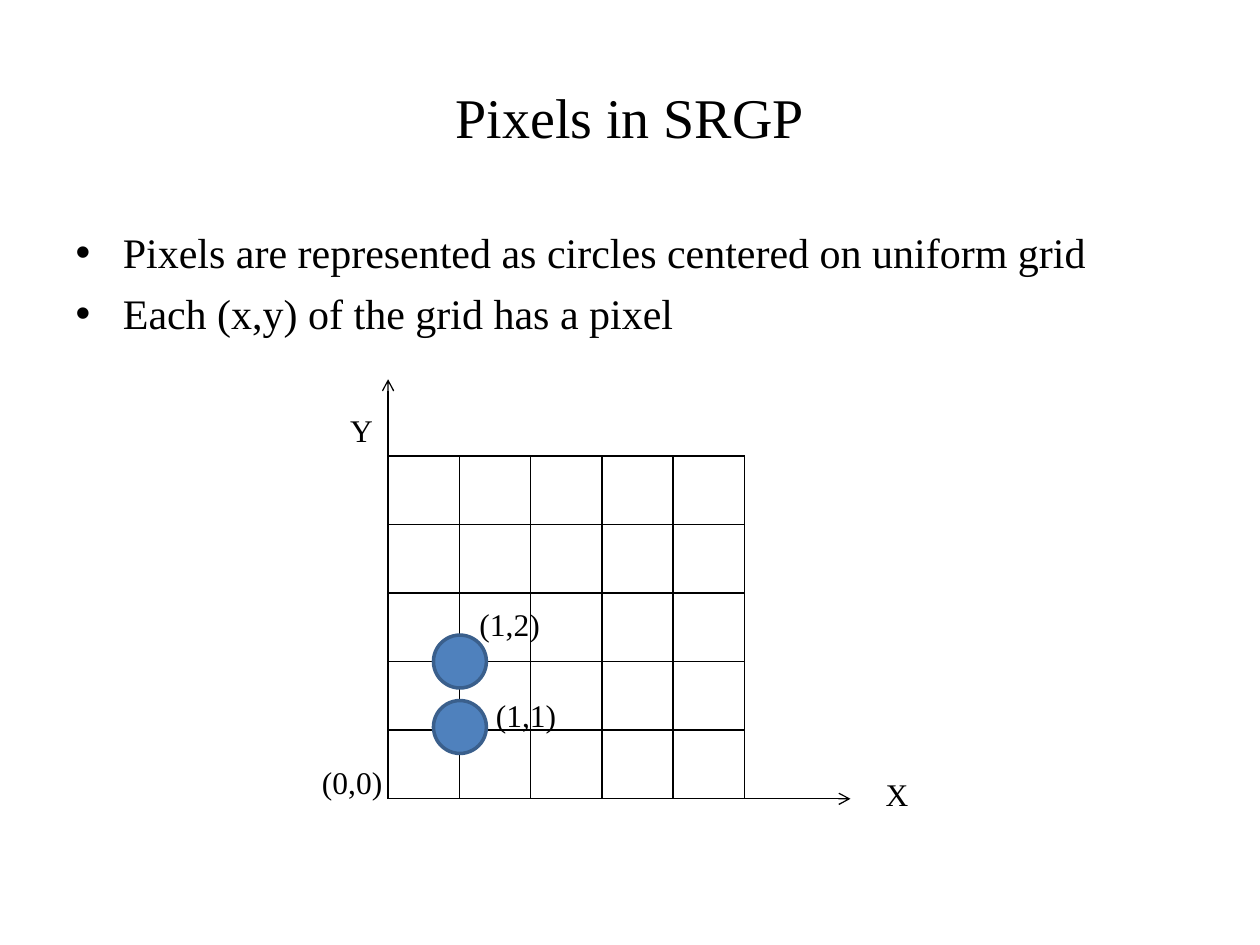
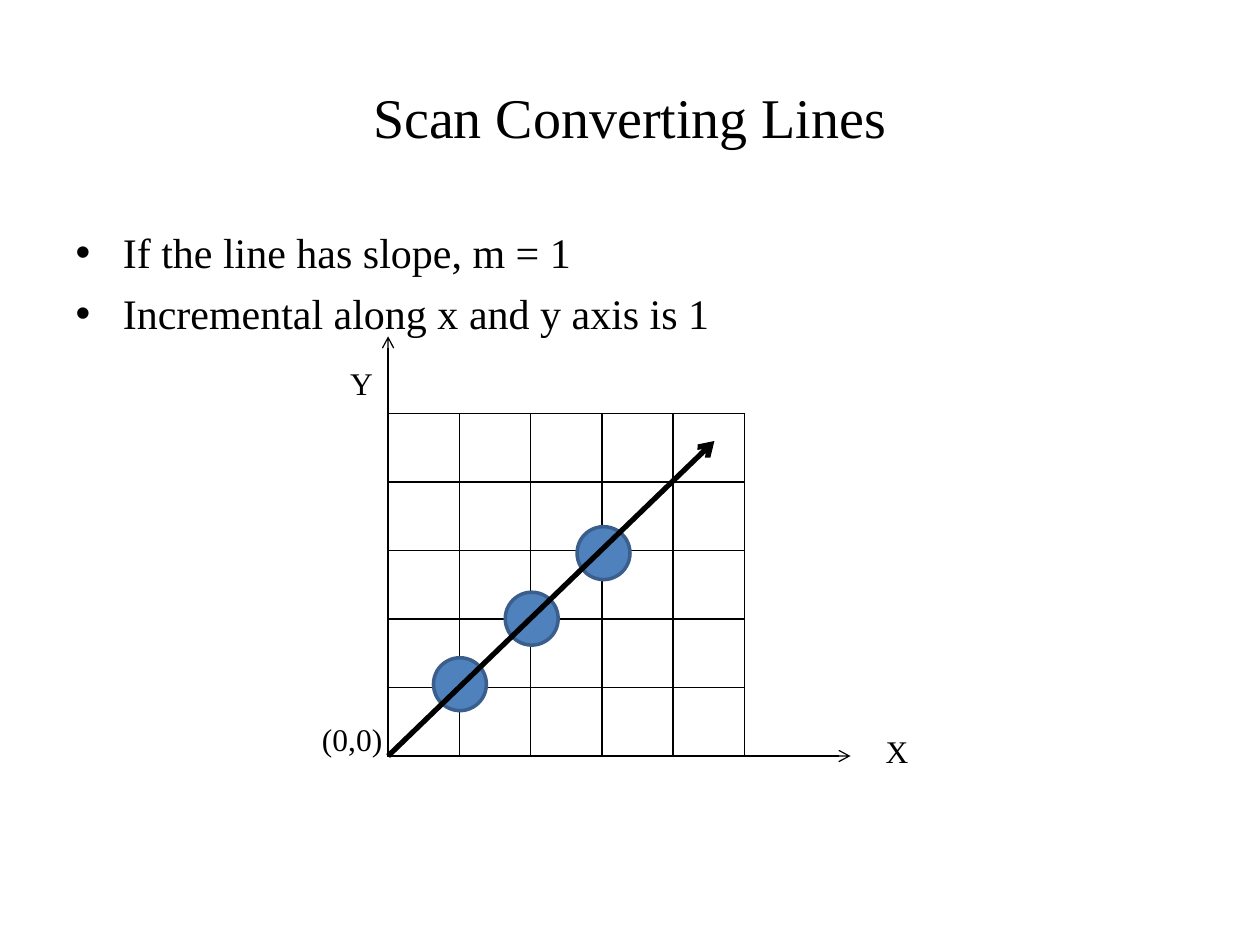
from dataclasses import dataclass
from typing import Optional

from pptx import Presentation
from pptx.dml.color import RGBColor
from pptx.enum.shapes import MSO_CONNECTOR as Connector, MSO_SHAPE as Preset
from pptx.enum.text import MSO_ANCHOR as Anchor, PP_ALIGN as Align
from pptx.oxml import parse_xml
from pptx.oxml.ns import nsdecls
from pptx.slide import Slide
from pptx.util import Inches, Pt

BLACK = RGBColor(0x00, 0x00, 0x00)
PIXEL_FILL = RGBColor(0x4F, 0x81, 0xBD)
PIXEL_EDGE = RGBColor(0x3A, 0x5F, 0x8C)
FONT = "Times New Roman"

ORIGIN_X = 3.08
GRID_CELLS = 5
GRID_WIDTH, GRID_HEIGHT = 2.83, 2.72
X_AXIS_LENGTH, Y_AXIS_LENGTH = 3.67, 3.33
PIXEL_SIZE = 0.42
PIXEL_STEP_X, PIXEL_STEP_Y = 0.57, 0.52
PIXEL_DROP = 0.05
AXIS_LABEL = (0.58, 0.58)
POINT_LABEL = (0.75, 0.33)


@dataclass(frozen=True)
class Label:
    text: str
    left: float
    top: float
    size: tuple[float, float] = POINT_LABEL


@dataclass(frozen=True)
class GridPage:
    title: str
    bullets: tuple[str, ...]
    origin_y: float
    pixels: tuple[tuple[int, int], ...]
    labels: tuple[Label, ...]
    line_end: Optional[tuple[float, float]] = None


PAGES = (
    GridPage(
        title="Pixels in SRGP",
        bullets=(
            "Pixels are represented as circles centered on uniform grid",
            "Each (x,y) of the grid has a pixel",
        ),
        origin_y=6.34,
        pixels=((1, 2), (1, 1)),
        labels=(
            Label("Y", 2.58, 3.12, AXIS_LABEL),
            Label("(1,1)", 3.8, 5.51),
            Label("(1,2)", 3.67, 4.79),
        ),
    ),
    GridPage(
        title="Scan Converting Lines",
        bullets=(
            "If the line has slope, m = 1",
            "Incremental along x and y axis is 1",
        ),
        origin_y=6.0,
        pixels=((1, 1), (2, 2), (3, 3)),
        labels=(Label("Y", 2.58, 2.75, AXIS_LABEL),),
        line_end=(5.67, 3.5),
    ),
)


def format_font(para, size: float) -> None:
    for name, value in {"name": FONT, "size": Pt(size), "bold": False}.items():
        setattr(para.font, name, value)
    para.font.color.rgb = BLACK


def place(shape, left: float, top: float, width: float, height: float) -> None:
    bounds = {"left": left, "top": top, "width": width, "height": height}
    for name, value in bounds.items():
        setattr(shape, name, Inches(value))


def fill_placeholders(slide: Slide, page: GridPage) -> None:
    title, body = slide.placeholders
    place(title, 0.5, 0.3, 9, 1.25)
    title.text_frame.text = page.title
    title.text_frame.vertical_anchor = Anchor.MIDDLE
    heading = title.text_frame.paragraphs[0]
    heading.alignment = Align.CENTER
    format_font(heading, 32)

    place(body, 0.5, 1.75, 9, 4.95)
    body.text_frame.text = "\n".join(page.bullets)
    for index, para in enumerate(body.text_frame.paragraphs):
        para.space_before = Pt(6 if index else 0)
        format_font(para, 24)


def add_grid(slide: Slide, origin_y: float) -> None:
    frame = slide.shapes.add_table(
        GRID_CELLS, GRID_CELLS, Inches(ORIGIN_X), Inches(origin_y - GRID_HEIGHT),
        Inches(GRID_WIDTH), Inches(GRID_HEIGHT),
    )
    frame.table.first_row = False
    frame.table.horz_banding = False
    for cell in frame.table.iter_cells():
        properties = cell._tc.get_or_add_tcPr()
        for side in ("lnL", "lnR", "lnT", "lnB"):
            properties.append(parse_xml(
                f'<a:{side} {nsdecls("a")} w="{Pt(1)}"><a:solidFill>'
                f'<a:srgbClr val="{BLACK}"/></a:solidFill></a:{side}>'
            ))
        cell.fill.background()


def add_arrow(slide: Slide, start: tuple[float, float],
              end: tuple[float, float], width: float) -> None:
    arrow = slide.shapes.add_connector(
        Connector.STRAIGHT, *(Inches(value) for value in (*start, *end))
    )
    arrow.line.color.rgb = BLACK
    arrow.line.width = Pt(width)
    outline = arrow.line._get_or_add_ln()
    outline.append(parse_xml(f'<a:tailEnd {nsdecls("a")} type="arrow"/>'))
    arrow._element.spPr.append(parse_xml(f'<a:effectLst {nsdecls("a")}/>'))


def add_label(slide: Slide, label: Label) -> None:
    box = slide.shapes.add_textbox(
        *(Inches(value) for value in (label.left, label.top, *label.size))
    )
    frame = box.text_frame
    for name, value in {"word_wrap": True, "vertical_anchor": Anchor.MIDDLE}.items():
        setattr(frame, name, value)
    para = frame.paragraphs[0]
    para.text = label.text
    para.alignment = Align.CENTER
    format_font(para, 18)


def add_pixel(slide: Slide, column: int, row: int, origin_y: float) -> None:
    center_x = ORIGIN_X + PIXEL_STEP_X * column
    center_y = origin_y - PIXEL_DROP - PIXEL_STEP_Y * row
    pixel = slide.shapes.add_shape(
        Preset.OVAL, Inches(center_x - PIXEL_SIZE / 2),
        Inches(center_y - PIXEL_SIZE / 2), Inches(PIXEL_SIZE), Inches(PIXEL_SIZE),
    )
    pixel.shadow.inherit = False
    pixel.fill.solid()
    pixel.fill.fore_color.rgb = PIXEL_FILL
    pixel.line.color.rgb = PIXEL_EDGE
    pixel.line.width = Pt(2)


def add_page(deck, page: GridPage) -> None:
    slide = deck.slides.add_slide(deck.slide_layouts[1])
    origin = (ORIGIN_X, page.origin_y)
    fill_placeholders(slide, page)
    add_grid(slide, page.origin_y)
    add_arrow(slide, origin, (ORIGIN_X + X_AXIS_LENGTH, page.origin_y), 0.75)
    add_arrow(slide, origin, (ORIGIN_X, page.origin_y - Y_AXIS_LENGTH), 0.75)
    for column, row in page.pixels:
        add_pixel(slide, column, row, page.origin_y)
    shared_labels = (
        Label("X", 6.83, page.origin_y - 0.33, AXIS_LABEL),
        Label("(0,0)", 2.42, page.origin_y - 0.3),
    )
    for label in page.labels + shared_labels:
        add_label(slide, label)
    if page.line_end:
        add_arrow(slide, origin, page.line_end, 3)


def main() -> None:
    deck = Presentation()
    deck.slide_width, deck.slide_height = Inches(10), Inches(7.5)
    for page in PAGES:
        add_page(deck, page)
    deck.save("out.pptx")


if __name__ == "__main__":
    main()
